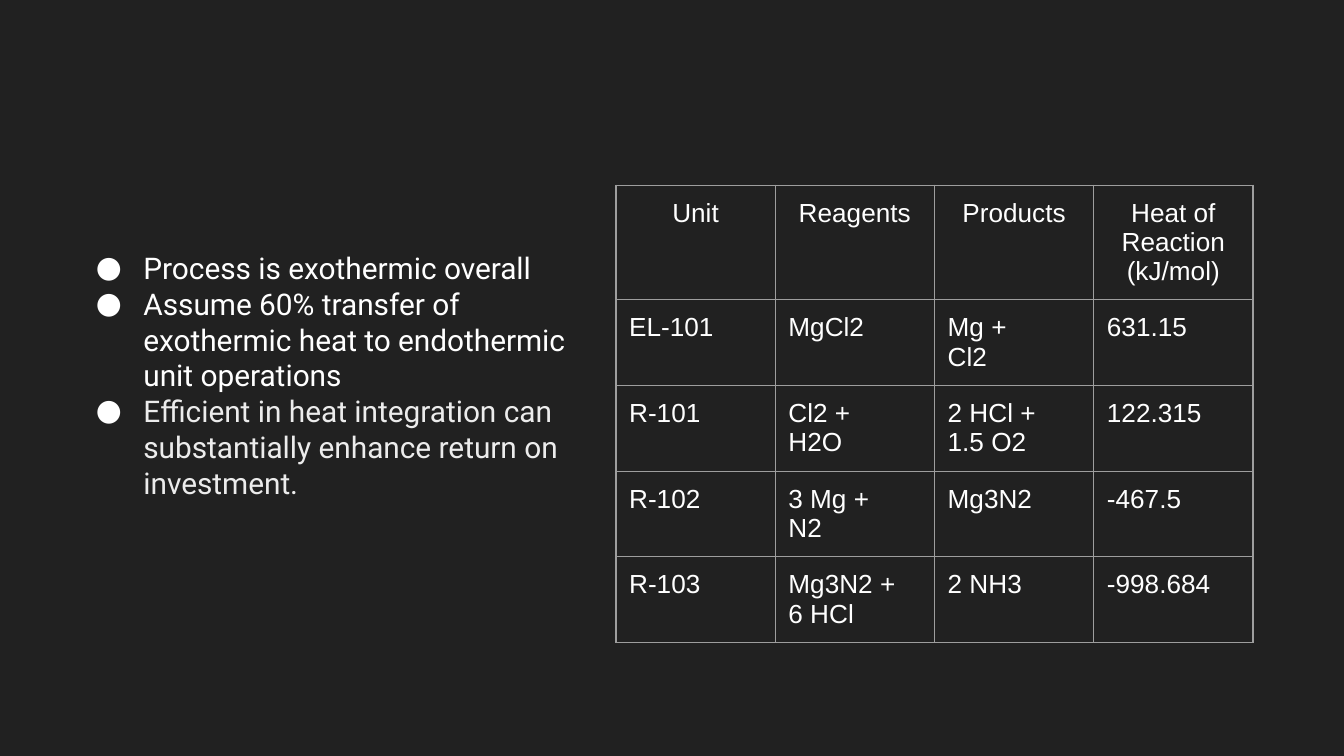
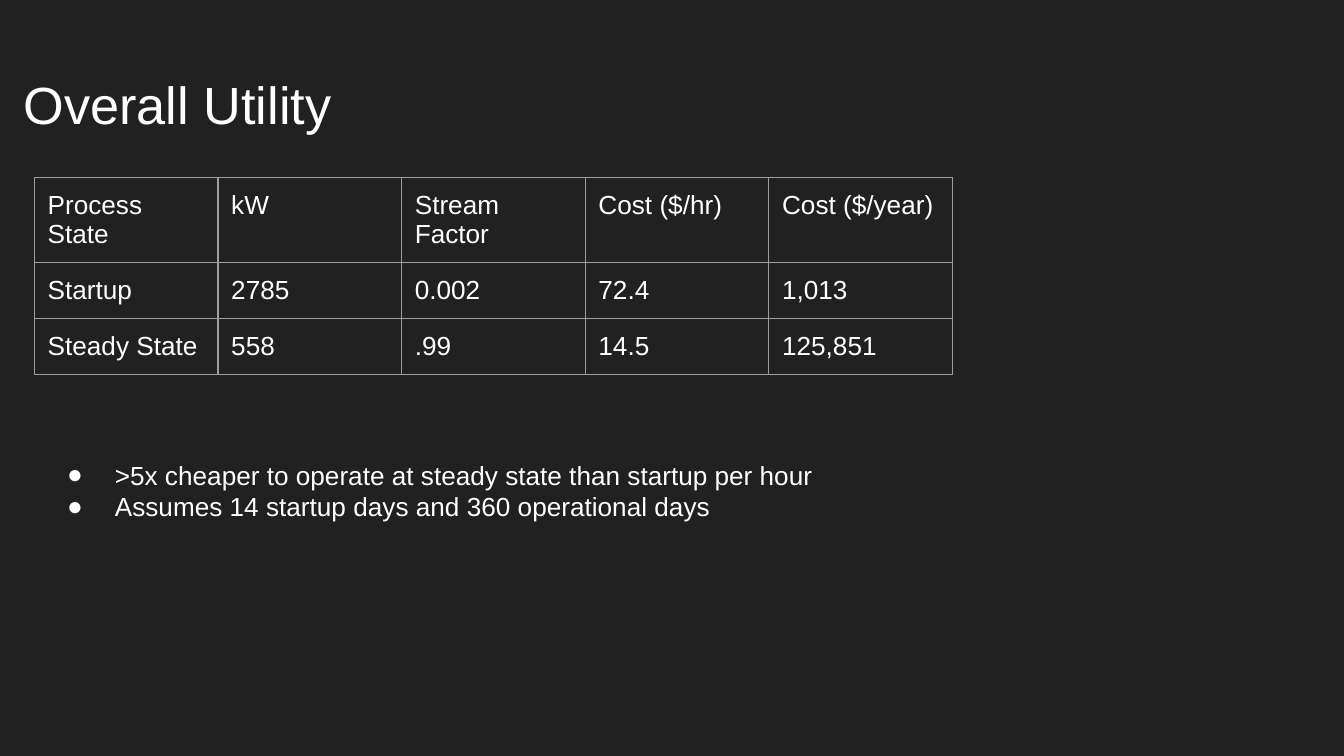
from dataclasses import dataclass

from lxml.etree import SubElement
from pptx import Presentation
from pptx.dml.color import RGBColor
from pptx.enum.text import MSO_ANCHOR, MSO_AUTO_SIZE, PP_ALIGN
from pptx.oxml.ns import qn
from pptx.util import Cm, Pt


@dataclass(frozen=True)
class Theme:
    """Colours, fonts, type sizes and insets shared by the slides."""

    background: str = "212121"
    text: str = "FFFFFF"
    soft_text: str = "ECECEC"
    border: str = "9E9E9E"
    main_font: str = "Arial"
    list_font: str = "Roboto"
    title_size: int = 28
    list_size: int = 16
    small_size: int = 14
    border_width: float = 0.75
    inset: float = 0.25


THEME = Theme()
TITLE_AND_CONTENT = 1
MARGINS = {
    f"margin_{side}": Cm(THEME.inset) for side in ("left", "right", "top", "bottom")
}
FRAME_FORMAT = MARGINS | {
    "word_wrap": True,
    "auto_size": MSO_AUTO_SIZE.NONE,
    "vertical_anchor": MSO_ANCHOR.TOP,
}
PARAGRAPH_FORMAT = {
    "alignment": PP_ALIGN.LEFT,
    "space_before": Pt(0),
    "space_after": Pt(0),
    "line_spacing": 1.0,
}

REACTIONS = [
    ["Unit", "Reagents", "Products", "Heat of Reaction (kJ/mol)"],
    ["EL-101", "MgCl2", "Mg +\nCl2", "631.15"],
    ["R-101", "Cl2 +\nH2O", "2 HCl +\n1.5 O2", "122.315"],
    ["R-102", "3 Mg +\nN2", "Mg3N2", "-467.5"],
    ["R-103", "Mg3N2 +\n6 HCl", "2 NH3", "-998.684"],
]
HEAT_POINTS = [
    ("Process is exothermic overall", THEME.text),
    (
        "Assume 60% transfer of exothermic heat to endothermic unit operations",
        THEME.text,
    ),
    (
        "Efficient in heat integration can substantially enhance return on investment.",
        THEME.soft_text,
    ),
]
UTILITIES = [
    ["Process State", "kW", "Stream Factor", "Cost ($/hr)", "Cost ($/year)"],
    ["Startup", "2785", "0.002", "72.4", "1,013"],
    ["Steady State", "558", ".99", "14.5", "125,851"],
]
UTILITY_POINTS = [
    (">5x cheaper to operate at steady state than startup per hour", THEME.text),
    ("Assumes 14 startup days and 360 operational days", THEME.text),
]


def apply_format(target, values):
    """Set every attribute named in values on the target."""
    for name, value in values.items():
        setattr(target, name, value)


def format_paragraph(paragraph, font_name, size, color=THEME.text, **changes):
    """Give a paragraph its spacing, alignment and font."""
    apply_format(paragraph, PARAGRAPH_FORMAT | changes)
    apply_format(paragraph.font, {"name": font_name, "size": Pt(size), "bold": False})
    paragraph.font.color.rgb = RGBColor.from_string(color)


def place(shape, left, top, width, height):
    """Move a placeholder and format its text frame; lengths are in centimetres."""
    box = {"left": left, "top": top, "width": width, "height": height}
    apply_format(shape, {name: Cm(length) for name, length in box.items()})
    apply_format(shape.text_frame, FRAME_FORMAT)


def add_bullet(paragraph, font_name):
    """Give a paragraph a round bullet and a hanging indent."""
    properties = paragraph._p.get_or_add_pPr()
    properties.set("marL", str(Cm(1.27)))
    properties.set("indent", str(-Cm(0.9)))
    color = SubElement(properties, qn("a:buClr"))
    SubElement(color, qn("a:srgbClr"), val=THEME.text)
    SubElement(properties, qn("a:buFont"), typeface=font_name)
    SubElement(properties, qn("a:buChar"), char="●")


def fill_title(slide, text, box):
    """Write the slide title in the title placeholder."""
    title = slide.shapes.title
    place(title, *box)
    title.text_frame.text = text
    format_paragraph(
        title.text_frame.paragraphs[0], THEME.main_font, THEME.title_size
    )


def fill_list(slide, points, box, font_name, size):
    """Write a bulleted list in the body placeholder."""
    body = slide.placeholders[1]
    place(body, *box)
    body.text_frame.text = "\n".join(text for text, _ in points)
    for paragraph, (_, color) in zip(body.text_frame.paragraphs, points):
        add_bullet(paragraph, font_name)
        format_paragraph(paragraph, font_name, size, color)


def add_borders(cell):
    """Draw a thin line on each side of a cell."""
    properties = cell._tc.get_or_add_tcPr()
    for side in ("lnL", "lnR", "lnT", "lnB"):
        line = SubElement(
            properties, qn(f"a:{side}"), w=str(Pt(THEME.border_width))
        )
        fill = SubElement(line, qn("a:solidFill"))
        SubElement(fill, qn("a:srgbClr"), val=THEME.border)


def add_grid(slide, rows, position, column_width, row_height, header_alignment):
    """Add a bordered table with equal columns and rows."""
    left, top = position
    row_count, column_count = len(rows), len(rows[0])
    table = slide.shapes.add_table(
        row_count,
        column_count,
        Cm(left),
        Cm(top),
        Cm(column_width * column_count),
        Cm(row_height * row_count),
    ).table
    apply_format(table, {"first_row": False, "horz_banding": False})
    for row_index, row in enumerate(rows):
        alignment = PP_ALIGN.LEFT if row_index else header_alignment
        for column_index, text in enumerate(row):
            cell = table.cell(row_index, column_index)
            cell.text = text
            apply_format(cell, MARGINS)
            add_borders(cell)
            cell.fill.background()
            for paragraph in cell.text_frame.paragraphs:
                format_paragraph(
                    paragraph, THEME.main_font, THEME.small_size, alignment=alignment
                )


def add_slide(presentation):
    """Add a slide with a title and a body placeholder."""
    return presentation.slides.add_slide(
        presentation.slide_layouts[TITLE_AND_CONTENT]
    )


def add_heat_slide(presentation):
    """Build the slide on heats of reaction."""
    slide = add_slide(presentation)
    title = slide.shapes.title.element
    title.getparent().remove(title)
    add_grid(slide, REACTIONS, (11.64, 3.5), 3.01, 1.62, PP_ALIGN.CENTER)
    fill_list(
        slide,
        HEAT_POINTS,
        (1.19, 4.47, 9.86, 7.14),
        THEME.list_font,
        THEME.list_size,
    )


def add_utility_slide(presentation):
    """Build the slide on overall utility use."""
    slide = add_slide(presentation)
    fill_title(slide, "Overall Utility", (0.2, 1.12, 6.8, 2.24))
    add_grid(slide, UTILITIES, (0.65, 3.35), 3.47, 1.06, PP_ALIGN.LEFT)
    fill_list(
        slide,
        UTILITY_POINTS,
        (0.65, 8.43, 16, 2.57),
        THEME.main_font,
        THEME.small_size,
    )


def main():
    """Build and save the presentation."""
    presentation = Presentation()
    apply_format(
        presentation, {"slide_width": Cm(25.4), "slide_height": Cm(14.29)}
    )
    background = presentation.slide_master.background.fill
    background.solid()
    background.fore_color.rgb = RGBColor.from_string(THEME.background)
    add_heat_slide(presentation)
    add_utility_slide(presentation)
    presentation.save("out.pptx")


if __name__ == "__main__":
    main()
